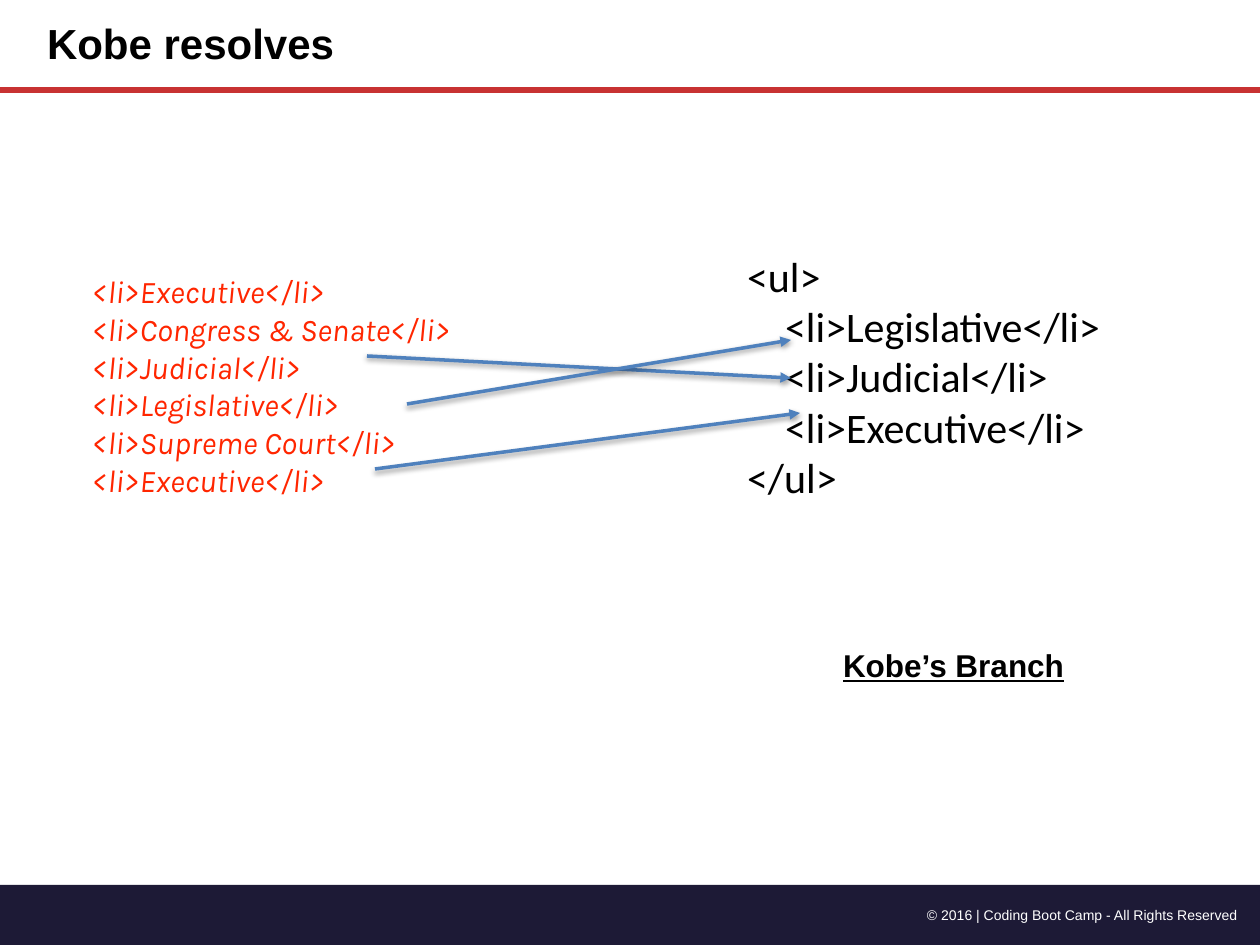
from pptx import Presentation
from pptx.dml.color import RGBColor
from pptx.enum.shapes import MSO_CONNECTOR as Connector, MSO_SHAPE as Shape
from pptx.enum.text import MSO_ANCHOR as Anchor, MSO_AUTO_SIZE as AutoSize, PP_ALIGN as Align
from pptx.oxml import parse_xml
from pptx.oxml.ns import nsdecls
from pptx.util import Emu, Pt

SCALE = 914400 / 126
PAGE_WIDTH, PAGE_HEIGHT = 1260, 945
INSET = 6
TITLE_ONLY = 5
INDENT = " " * 4

BLACK = RGBColor(0x00, 0x00, 0x00)
WHITE = RGBColor(0xFF, 0xFF, 0xFF)
NAVY = RGBColor(0x1D, 0x1A, 0x36)
RULE_RED = RGBColor(0xC8, 0x32, 0x32)
CODE_RED = RGBColor(0xFF, 0x26, 0x00)
ARROW_BLUE = RGBColor(0x4F, 0x81, 0xBD)

CANDIDATES = ["Executive", "Congress & Senate", "Judicial",
              "Legislative", "Supreme Court", "Executive"]
BRANCHES = ["Legislative", "Judicial", "Executive"]
ARROWS = [((367, 356), (791, 378)),
          ((375, 469), (800, 413)),
          ((407, 404), (791, 340))]

SHADOW = (f'<a:effectLst {nsdecls("a")}>'
          '<a:outerShdw blurRad="38100" dist="20320" dir="5400000" rotWithShape="0">'
          '<a:srgbClr val="000000"><a:alpha val="38000"/></a:srgbClr>'
          '</a:outerShdw></a:effectLst>')
NO_EFFECTS = f'<a:effectLst {nsdecls("a")}/>'
ARROWHEAD = f'<a:tailEnd {nsdecls("a")} type="triangle"/>'


def px(length):
    return Emu(round(length * SCALE))


def place(shape, left, top, width, height):
    shape.left, shape.top = px(left), px(top)
    shape.width, shape.height = px(width), px(height)


def write(frame, lines, font, size, color, wrap=True, align=Align.LEFT,
          bold=None, italic=None, underline=None):
    frame.word_wrap = wrap
    frame.margin_left = frame.margin_right = px(INSET)
    frame.margin_top = frame.margin_bottom = px(INSET)
    for index, line in enumerate(lines):
        para = frame.add_paragraph() if index else frame.paragraphs[0]
        para.alignment = align
        span = para.add_run()
        span.text = line
        span.font.name, span.font.size = font, Pt(size)
        span.font.color.rgb = color
        span.font.bold, span.font.italic = bold, italic
        span.font.underline = underline


def add_title(page, text):
    title = page.shapes.title
    place(title, 41, 0, 753, 91)
    write(title.text_frame, [text], "Arial", 24, BLACK, bold=True)
    title.text_frame.auto_size = AutoSize.NONE
    title.text_frame.vertical_anchor = Anchor.MIDDLE
    title.text_frame.paragraphs[0].line_spacing = 0.9


def add_text(page, bounds, lines, font, size, color, **style):
    box = page.shapes.add_textbox(*map(px, bounds))
    write(box.text_frame, lines, font, size, color, **style)


def add_bar(page, bounds, color):
    bar = page.shapes.add_shape(Shape.RECTANGLE, *map(px, bounds))
    bar.shadow.inherit = False
    bar.fill.solid()
    bar.fill.fore_color.rgb = color
    bar.line.fill.background()


def add_line(page, start, end, color, width, effects=NO_EFFECTS):
    line = page.shapes.add_connector(Connector.STRAIGHT, *map(px, start + end))
    line.line.color.rgb = color
    line.line.width = Pt(width)
    line._element.spPr.append(parse_xml(effects))
    return line


def add_arrow(page, start, end):
    arrow = add_line(page, start, end, ARROW_BLUE, 2, SHADOW)
    arrow.line._get_or_add_ln().append(parse_xml(ARROWHEAD))


def list_items(names):
    return [f"{INDENT}<li>{name}</li>" for name in names]


def main():
    deck = Presentation()
    deck.slide_width, deck.slide_height = px(PAGE_WIDTH), px(PAGE_HEIGHT)
    page = deck.slides.add_slide(deck.slide_layouts[TITLE_ONLY])

    add_bar(page, (0, 885, PAGE_WIDTH, 60), NAVY)
    add_text(page, (860, 901, 384, 28),
             ["© 2016 | Coding Boot Camp - All Rights Reserved"],
             "Arial", 8, WHITE, align=Align.RIGHT)
    add_line(page, (0, 90), (PAGE_WIDTH, 90), RULE_RED, 3.25)
    add_title(page, "Kobe resolves")

    add_text(page, (741, 244, 425, 257),
             ["<ul>", *list_items(BRANCHES), "</ul>"],
             "Calibri", 24, BLACK, wrap=False)
    add_text(page, (59, 266, 527, 233), list_items(CANDIDATES),
             "Karla", 18, CODE_RED, italic=True)
    for start, end in ARROWS:
        add_arrow(page, start, end)
    add_text(page, (837, 640, 236, 48), ["Kobe’s Branch"],
             "Arial", 18, BLACK, wrap=False, bold=True, underline=True)

    deck.save("out.pptx")


if __name__ == "__main__":
    main()
